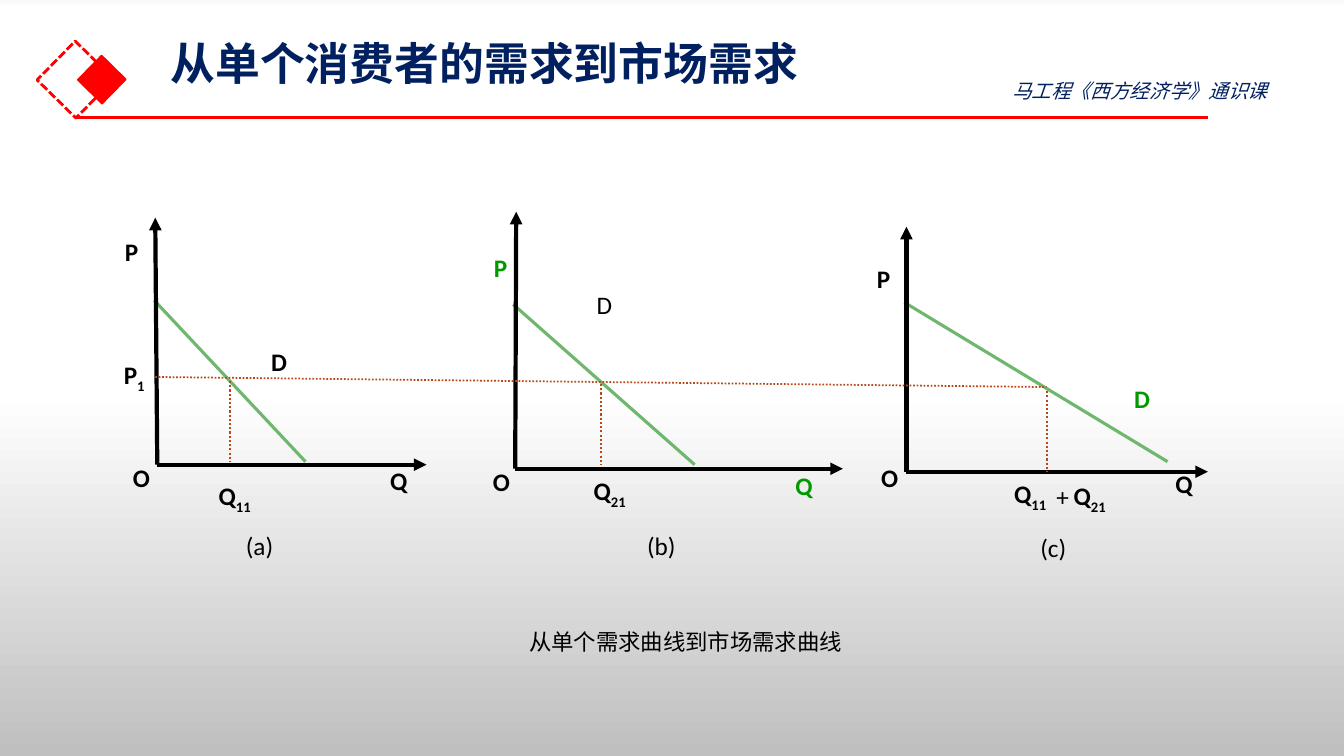
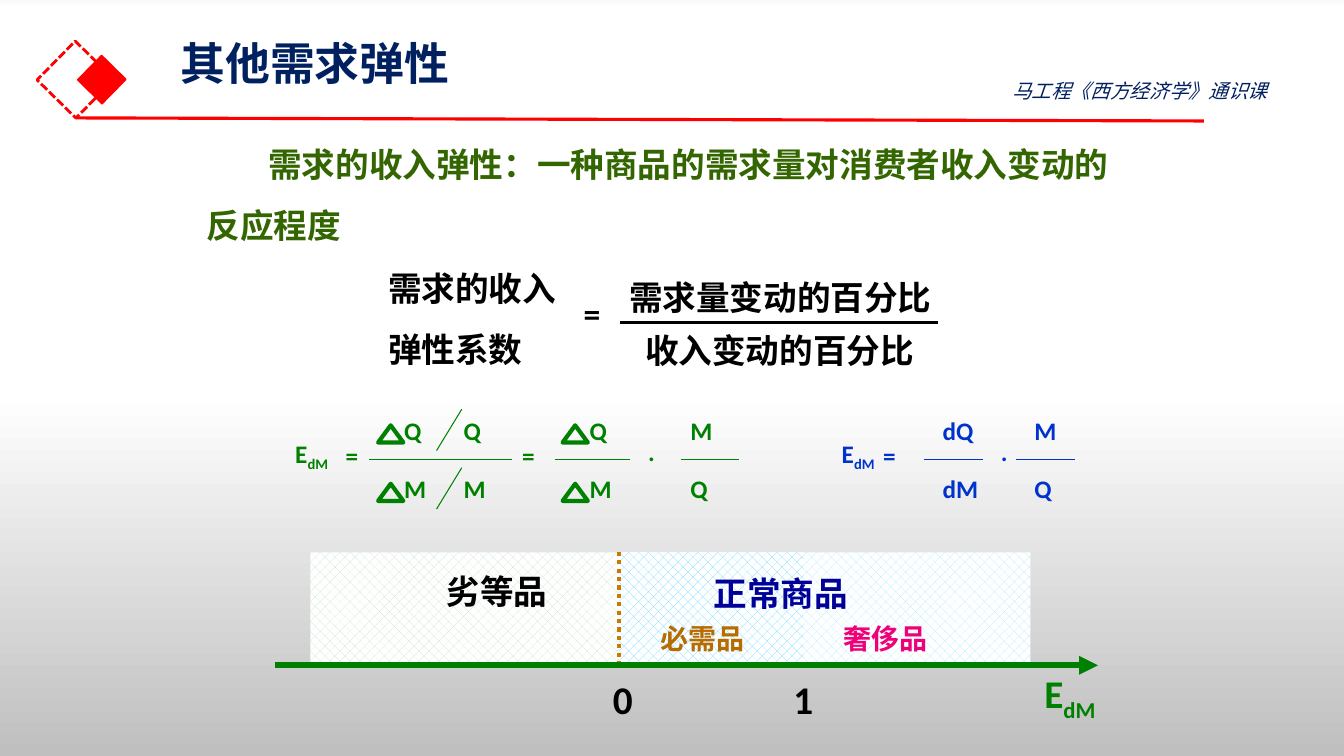
import lxml.etree
import pptx
import pptx.dml.color
import pptx.enum.dml
import pptx.enum.shapes
import pptx.enum.text
import pptx.oxml.ns
import pptx.util

RGB = pptx.dml.color.RGBColor
DASH = pptx.enum.dml.MSO_LINE
SHAPE = pptx.enum.shapes.MSO_SHAPE
ANCHOR = pptx.enum.text.MSO_ANCHOR
ALIGN = pptx.enum.text.PP_ALIGN
AUTO_SIZE = pptx.enum.text.MSO_AUTO_SIZE
qn = pptx.oxml.ns.qn

EMU_PER_PX = 9144
LATIN = "Calibri"
CJK = "Noto Sans CJK SC"

RED = RGB(0xFF, 0x00, 0x00)
NAVY = RGB(0x00, 0x20, 0x60)
BLACK = RGB(0x00, 0x00, 0x00)
CURVE_GREEN = RGB(0x6F, 0xB7, 0x6F)
LABEL_GREEN = RGB(0x00, 0x99, 0x00)
GUIDE_BROWN = RGB(0xB7, 0x49, 0x19)
OLIVE = RGB(0x33, 0x66, 0x00)
GREEN = RGB(0x00, 0x80, 0x00)
BLUE = RGB(0x00, 0x33, 0xCC)
DEEP_BLUE = RGB(0x00, 0x00, 0x99)
PINK = RGB(0xF0, 0x00, 0x78)
AMBER = RGB(0xB6, 0x6C, 0x00)
ORANGE = RGB(0xCC, 0x79, 0x00)
WHITE = RGB(0xFF, 0xFF, 0xFF)
SKY = RGB(0xAD, 0xEA, 0xFF)
CYAN = RGB(0x69, 0xD8, 0xFF)
MINT = RGB(0xC8, 0xE4, 0xC8)
OFF_WHITE = RGB(0xF9, 0xF9, 0xF9)
SILVER = RGB(0xBF, 0xBF, 0xBF)

BACKDROP = [(0, OFF_WHITE), (1, WHITE), (52, WHITE), (100, SILVER)]
ROWS = (427, 485)
BAR_Y = 456


def px(n):
    return pptx.util.Emu(round(n * EMU_PER_PX))


def set_all(target, values):
    for name, value in values.items():
        setattr(target, name, value)


def place(sp, x, y, w, h):
    set_all(sp, {"left": px(x), "top": px(y), "width": px(w), "height": px(h)})


def add_run(p, text, color, size, bold=True, italic=False, font=LATIN, subscript=False):
    r = p.add_run()
    r.text = text
    set_all(r.font, {"size": pptx.util.Pt(size), "bold": bold, "italic": italic, "name": font})
    r.font.color.rgb = color
    rPr = r._r.get_or_add_rPr()
    lxml.etree.SubElement(rPr, qn("a:ea")).set("typeface", CJK)
    if subscript:
        rPr.set("baseline", "-25000")


def label(s, text, x, cy, color=BLACK, size=18, spacing=None, **style):
    lines = text.split("\n")
    w = 20 + max(map(len, lines)) * size * 1.4
    h = 2 * size * len(lines)
    sp = s.shapes.add_textbox(px(x), px(cy - h / 2), px(w), px(h))
    tf = sp.text_frame
    set_all(tf, {"word_wrap": False, "vertical_anchor": ANCHOR.MIDDLE})
    for i, line in enumerate(lines):
        p = tf.add_paragraph() if i else tf.paragraphs[0]
        p.line_spacing = spacing
        for j, part in enumerate(line.split("|")):
            add_run(p, part, color, size, subscript=j > 0, **style)


def line(s, start, end, color, width, dash=None, arrow=False):
    c = s.shapes.add_connector(
        pptx.enum.shapes.MSO_CONNECTOR.STRAIGHT, *map(px, (*start, *end)))
    c.line.color.rgb = color
    c.line.width = pptx.util.Pt(width)
    if dash:
        c.line.dash_style = dash
    spPr = c.element.spPr
    if arrow:
        lxml.etree.SubElement(spPr.find(qn("a:ln")), qn("a:tailEnd")).set("type", "triangle")
    lxml.etree.SubElement(spPr, qn("a:effectLst"))


def outline(s, kind, box, color, width, dash=None):
    sp = s.shapes.add_shape(kind, *map(px, box))
    sp.shadow.inherit = False
    sp.fill.background()
    sp.line.color.rgb = color
    sp.line.width = pptx.util.Pt(width)
    if dash:
        sp.line.dash_style = dash
    return sp


def band(s, x, y, w, h, color):
    sp = s.shapes.add_shape(SHAPE.RECTANGLE, px(x), px(y), px(w), px(h))
    sp.shadow.inherit = False
    sp.line.fill.background()
    sp.fill.patterned()
    sp.fill.pattern = pptx.enum.dml.MSO_PATTERN.PERCENT_30
    sp.fill.fore_color.rgb = color
    sp.fill.back_color.rgb = WHITE


def set_backdrop(master):
    fill = master.background.fill
    fill.gradient()
    fill.gradient_angle = 270
    stops = next(master.element.iter(qn("a:gsLst")))
    for stop in list(stops):
        stops.remove(stop)
    for position, color in BACKDROP:
        stop = lxml.etree.SubElement(stops, qn("a:gs"))
        stop.set("pos", str(position * 1000))
        lxml.etree.SubElement(stop, qn("a:srgbClr")).set("val", str(color))


def fill_placeholder(sp, text, box, color, size, spacing, indent=0):
    place(sp, *box)
    tf = sp.text_frame
    set_all(tf, {"word_wrap": True, "vertical_anchor": ANCHOR.MIDDLE,
                 "auto_size": AUTO_SIZE.NONE})
    p = tf.paragraphs[0]
    pPr = p._p.get_or_add_pPr()
    pPr.set("marL", "0")
    pPr.set("indent", str(px(indent)))
    lxml.etree.SubElement(pPr, qn("a:buNone"))
    set_all(p, {"alignment": ALIGN.LEFT, "line_spacing": spacing,
                "space_before": pptx.util.Pt(0)})
    add_run(p, text, color, size, font=CJK)


def new_slide(prs, layout, title, title_x, rule_end):
    s = prs.slides.add_slide(prs.slide_layouts[layout])
    fill_placeholder(s.shapes.title, title, (title_x, 41, 800, 48), NAVY, 32, 0.9)
    dashed = outline(s, SHAPE.RECTANGLE, (48, 52, 54, 54), RED, 2, DASH.SQUARE_DOT)
    solid = outline(s, SHAPE.RECTANGLE, (84, 62, 34, 34), RED, 1)
    solid.fill.solid()
    solid.fill.fore_color.rgb = RED
    dashed.rotation = solid.rotation = 314.5
    line(s, (75, 117), rule_end, RED, 2.25)
    label(s, "马工程《西方经济学》通识课", 994, 90, NAVY, 14, bold=False, italic=True, font=CJK)
    return s


def demand_panel(s, origin, p_end, q_end, curve, drop):
    line(s, *curve, CURVE_GREEN, 2.25)
    line(s, origin, p_end, BLACK, 3, arrow=True)
    line(s, origin, (q_end, origin[1]), BLACK, 3, arrow=True)
    x, bottom = drop
    line(s, (x, bottom - 80), drop, GUIDE_BROWN, 1.5, DASH.ROUND_DOT)


def market_demand(prs):
    s = new_slide(prs, 5, "从单个消费者的需求到市场需求", 159, (1198, 117))
    panels = [
        ((156, 461), (154, 216), 423, ((153, 298), (303, 458)), (228, 458)),
        ((511, 465), (512, 210), 836, ((509, 302), (689, 461)), (596, 461)),
        ((899, 468), (899, 225), 1198, ((897, 300), (1158, 458)), (1038, 468)),
    ]
    for panel in panels:
        demand_panel(s, *panel)
    line(s, (154, 374), (1038, 384), GUIDE_BROWN, 1.25, DASH.ROUND_DOT)
    for text, x, cy in [
        ("P", 114, 249), ("P|1", 113, 374), ("D", 259, 359), ("O", 122, 474),
        ("Q", 377, 477), ("Q|11", 207, 494),
        ("O", 479, 478), ("Q|21", 579, 489),
        ("P", 860, 276), ("O", 864, 474), ("Q", 1156, 480),
        ("Q|11", 996, 492), ("Q|21", 1055, 494),
    ]:
        label(s, text, x, cy)
    for text, x, cy in [("P", 480, 265), ("Q", 779, 482), ("D", 1115, 395)]:
        label(s, text, x, cy, LABEL_GREEN)
    for text, x, cy in [("D", 582, 302), ("+", 1038, 493),
                        ("(a)", 234, 541), ("(b)", 632, 541), ("(c)", 1022, 543)]:
        label(s, text, x, cy, bold=False)
    label(s, "从单个需求曲线到市场需求曲线", 515, 636, size=16, bold=False, font=CJK)


def fraction(s, left, right, x, terms, color, delta_x=None):
    line(s, (left, BAR_Y), (right, BAR_Y), color, 0.75)
    for text, cy in zip(terms, ROWS):
        label(s, text, x, cy, color)
        if delta_x:
            outline(s, SHAPE.ISOSCELES_TRIANGLE, (delta_x, cy - 5, 25, 17), color, 3)


def elasticity_formulas(s):
    fraction(s, 366, 508, 391, "QM", GREEN, delta_x=375)
    for text, cy in zip("QM", ROWS):
        line(s, (458, cy - 21), (433, cy + 20), GREEN, 0.75)
        label(s, text, 450, cy, GREEN)
    fraction(s, 550, 625, 575, "QM", GREEN, delta_x=558)
    fraction(s, 675, 733, 675, "MQ", GREEN)
    fraction(s, 916, 975, 925, ("dQ", "dM"), BLUE)
    fraction(s, 1008, 1066, 1016, "MQ", BLUE)
    for text, x, cy, color in [
        ("E|dM", 283, 452, GREEN), ("=", 333, 452, GREEN), ("=", 508, 452, GREEN),
        (".", 633, 448, GREEN), ("E|dM", 825, 452, BLUE), ("=", 866, 452, BLUE),
        (".", 983, 448, BLUE),
    ]:
        label(s, text, x, cy, color)


def goods_scale(s):
    zero, top, axis = 614, 548, 660
    band(s, zero, top, 408, axis - top, SKY)
    band(s, zero, top, 183, 108, CYAN)
    band(s, 308, top, zero - 308, axis - top, MINT)
    line(s, (zero, axis), (zero, top), ORANGE, 3, DASH.ROUND_DOT)
    line(s, (273, axis), (1089, axis), GREEN, 4.5, arrow=True)
    for text, x, cy, color, size in [
        ("劣等品", 433, 586, BLACK, 24), ("正常商品", 698, 588, DEEP_BLUE, 24),
        ("必需品", 645, 633, AMBER, 20), ("奢侈品", 827, 633, PINK, 20),
        ("0", 598, 693, BLACK, 28), ("1", 777, 693, BLACK, 28),
        ("E|dM", 1026, 691, GREEN, 28),
    ]:
        label(s, text, x, cy, color, size)


def income_elasticity(prs):
    s = new_slide(prs, 1, "其他需求弹性", 169, (1194, 120))
    fill_placeholder(
        s.placeholders[1], "需求的收入弹性：一种商品的需求量对消费者收入变动的反应程度",
        (195, 118, 930, 130), OLIVE, 24, 1.5, indent=61)
    label(s, "需求的收入\n弹性系数", 375, 306, size=24, spacing=1.5)
    for text, x, cy in [("=", 569, 311), ("需求量变动的百分比", 614, 295),
                        ("收入变动的百分比", 630, 347)]:
        label(s, text, x, cy, size=24)
    line(s, (615, 320), (930, 320), BLACK, 2)
    elasticity_formulas(s)
    goods_scale(s)


def main():
    prs = pptx.Presentation()
    set_all(prs, {"slide_width": px(1333), "slide_height": px(750)})
    set_backdrop(prs.slide_master)
    market_demand(prs)
    income_elasticity(prs)
    prs.save("out.pptx")


if __name__ == "__main__":
    main()
